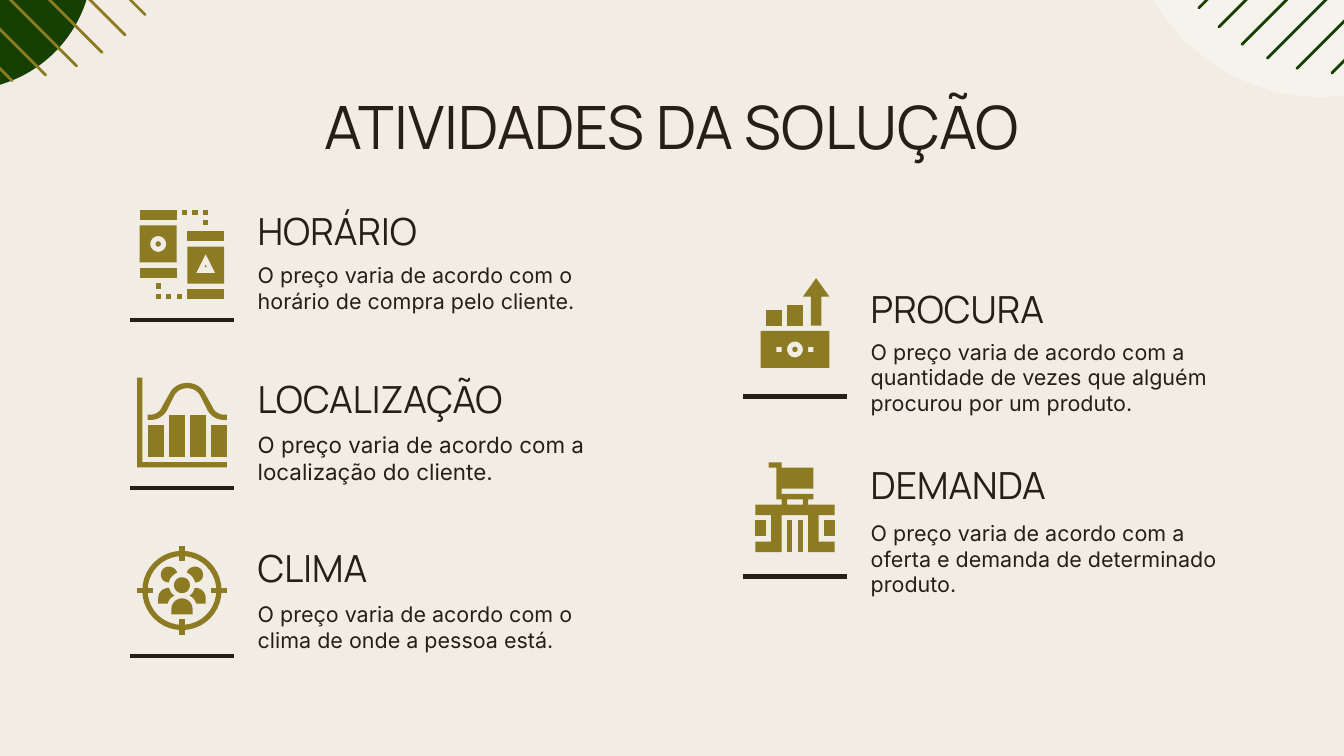
from math import cos, pi, sin

from lxml import etree
from pptx import Presentation
from pptx.dml.color import RGBColor
from pptx.enum.shapes import MSO_CONNECTOR, MSO_SHAPE
from pptx.enum.text import MSO_ANCHOR, PP_ALIGN
from pptx.oxml.ns import qn
from pptx.util import Pt

STRAIGHT = MSO_CONNECTOR.STRAIGHT
OVAL, RING = MSO_SHAPE.OVAL, MSO_SHAPE.DONUT
TOP, BOTTOM = MSO_ANCHOR.TOP, MSO_ANCHOR.BOTTOM
LEFT, CENTER = PP_ALIGN.LEFT, PP_ALIGN.CENTER

CREAM = RGBColor(0xF2, 0xED, 0xE4)
WHITE = RGBColor(0xFF, 0xFF, 0xFF)
GREEN = RGBColor(0x15, 0x40, 0x01)
GOLD = RGBColor(0x8C, 0x7B, 0x23)
INK = RGBColor(0x26, 0x1E, 0x17)

TITLE = {"name": "Manrope", "size": Pt(32)}
HEADING = {"name": "Manrope", "size": Pt(20)}
BODY = {"name": "Inter", "size": Pt(11.5)}
BODY_LARGE = {"name": "Inter", "size": Pt(12)}

UNIT = 2.83  # icon grid step in points; icons are 17 steps high
RULE_WIDTH = 55.4


# ---- basic parts ----
def add_text(s, box, text, fmt, align=LEFT, anchor=TOP):
    tf = s.shapes.add_textbox(*map(Pt, box)).text_frame
    for side in ("left", "right", "top", "bottom"):
        setattr(tf, f"margin_{side}", Pt(7.2))
    tf.word_wrap, tf.vertical_anchor = True, anchor
    p = tf.paragraphs[0]
    p.alignment = align
    r = p.add_run()
    r.text = text
    for name, value in fmt.items():
        setattr(r.font, name, value)
    r.font.color.rgb = INK


def add_line(shapes, x1, y1, x2, y2, color, width, cap="flat"):
    line = shapes.add_connector(STRAIGHT, Pt(x1), Pt(y1), Pt(x2), Pt(y2))
    line.line.color.rgb, line.line.width = color, Pt(width)
    pr = line._element.spPr
    pr.find(qn("a:ln")).set("cap", cap)
    etree.SubElement(pr, qn("a:effectLst"))


def paint(sp, color):
    sp.shadow.inherit = False
    sp.fill.solid()
    sp.fill.fore_color.rgb = color
    sp.line.fill.background()
    return sp


def add_oval(shapes, x, y, w, h, color, kind=OVAL):
    return paint(shapes.add_shape(kind, Pt(x), Pt(y), Pt(w), Pt(h)), color)


# ---- outlines in icon grid steps ----
def rect(x, y, w, h):
    return [(x, y), (x + w, y), (x + w, y + h), (x, y + h)]


def circle(x, y, d):
    turns = [2 * pi * i / 40 for i in range(40)]
    return [(x + d / 2 * (1 + cos(t)), y + d / 2 * (1 + sin(t))) for t in turns]


def curve(*steps):
    """Pairs are corners; six numbers are a cubic curve from the last point."""
    points = []
    for step in steps:
        if len(step) == 2:
            points.append(step)
            continue
        ends = [points[-1], step[:2], step[2:4], step[4:]]
        for t in (i / 10 for i in range(1, 11)):
            weights = ((1 - t) ** 3, 3 * t * (1 - t) ** 2, 3 * t * t * (1 - t), t ** 3)
            points.append(tuple(sum(w * e[k] for w, e in zip(weights, ends)) for k in (0, 1)))
    return points


def mirror(points, axis):
    return [(2 * axis - x, y) for x, y in points]


# ---- icons: each gives a width and shapes, a shape being contours with holes ----
def cards_icon():
    dots = [(8, 0), (10, 0), (12, 0), (12, 2), (3, 14), (3, 16), (5, 16), (7, 16)]
    bands = [(0, 0), (0, 11), (9, 4), (9, 15)]
    return 16, ([[rect(x, y, 1, 1)] for x, y in dots]
                + [[rect(x, y, 7, 2)] for x, y in bands]
                + [[rect(0, 3, 7, 7), circle(2, 5, 3)], [circle(3, 6, 1)],
                   [rect(9, 7, 7, 7), [(12.5, 8.4), (14.3, 12), (10.7, 12)]],
                   [[(12.5, 10.4), (12.7, 10.9), (12.3, 10.9)]]])


def chart_icon():
    axes = [(0, 0), (0, 17), (17, 17), (17, 16), (1, 16), (1, 0)]
    bars = [[rect(2 + 4 * i, 15 - h, 3, h)] for i, h in enumerate((6, 8, 8, 6))]
    upper = curve((2, 7), (2.5, 7), (3.6, 7, 4.4, 6.4, 4.8, 5.4), (6.1, 3.1),
                  (6.7, 1.8, 8, 1, 9.5, 1))
    lower = curve((2, 8), (2.6, 8), (4, 8, 5.2, 7.2, 5.8, 5.9), (7, 3.5),
                  (7.4, 2.6, 8.4, 2, 9.5, 2))
    bell = upper + mirror(upper, 9.5)[::-1] + mirror(lower, 9.5) + lower[::-1]
    return 17, [[axes], [bell]] + bars


def people_icon():
    ticks = [rect(8, 0, 1, 3), rect(8, 14, 1, 3), rect(0, 8, 3, 1), rect(14, 8, 3, 1)]
    body = curve((6.5, 13), (6.5, 12), (6.5, 10.9, 7.4, 10, 8.5, 10),
                 (9.6, 10, 10.5, 10.9, 10.5, 12), (10.5, 13))
    side_body = curve((10.9, 8), (10.8, 8.6, 10.5, 9.1, 9.9, 9.5),
                      (10.6, 9.8, 11, 10.3, 11.2, 11), (13, 11), (13, 10),
                      (13, 8.8, 12.1, 8, 10.9, 8))
    side_head = curve((11, 4), (10.2, 4, 9.6, 4.5, 9.4, 5.1), (10.2, 5.5, 10.8, 6.1, 11, 7),
                      (11.9, 7, 12.5, 6.3, 12.5, 5.5), (12.5, 4.6, 11.8, 4, 11, 4))
    sides = [side_body, side_head, mirror(side_body, 8.5), mirror(side_head, 8.5)]
    return 17, ([[circle(1, 1, 15), circle(2, 2, 13)], [circle(7, 6, 3)]]
                + [[part] for part in ticks + sides + [body]])


def money_icon():
    arrow = [(10.5, 0), (8, 3.5), (9.5, 3.5), (9.5, 9), (11.5, 9), (11.5, 3.5), (13, 3.5)]
    note = [rect(0, 10, 13, 7), rect(3, 13, 1, 1), rect(9, 13, 1, 1), circle(5, 12, 3)]
    return 13, [[rect(1, 6, 3, 3)], [rect(5, 5, 3, 4)], [arrow], note, [circle(6, 13, 1)]]


def store_icon():
    cart = [(2.5, 0), (2.5, 1), (4, 1), (4, 7), (5, 7), (5, 8), (0, 8), (0, 10), (3, 10),
            (3, 15), (0, 15), (0, 17), (5, 17), (5, 10), (10, 10), (10, 17), (15, 17),
            (15, 15), (12, 15), (12, 10), (15, 10), (15, 8), (10, 8), (10, 7), (11, 7),
            (11, 6), (5, 6), (5, 5), (11, 5), (11, 1), (5, 1), (5, 0)]
    panels = [(0, 2, 3), (13, 2, 3), (6, 1, 6), (8, 1, 6)]
    return 15, [[cart, rect(6, 7, 3, 1)]] + [[rect(x, 11, w, h)] for x, w, h in panels]


def draw_icon(s, center, top, icon):
    width, parts = icon
    left = center - width * UNIT / 2
    group = s.shapes.add_group_shape()
    for contours in parts:
        placed = [[(Pt(left + x * UNIT), Pt(top + y * UNIT)) for x, y in c] for c in contours]
        builder = group.shapes.build_freeform(*placed[0][0], scale=1.0)
        builder.add_line_segments(placed[0][1:], close=True)
        for hole in placed[1:]:
            builder.move_to(*hole[0])
            builder.add_line_segments(hole[1:], close=True)
        paint(builder.convert_to_shape(), GOLD)


# ---- regions ----
def draw_corner(s, box, color, lines, line_color, alpha=None):
    shapes = s.shapes.add_group_shape().shapes
    disc = add_oval(shapes, *box, color)
    if alpha:
        rgb = disc._element.spPr.find(qn("a:solidFill"))[0]
        etree.SubElement(rgb, qn("a:alpha"), val=str(alpha * 1000))
    for line in lines:
        add_line(shapes, *line, line_color, 1.5, "rnd")


def draw_activity(s, left, top, heading, text, icon, icon_dy, body_dy, rule_dy,
                  body_width=199.4, fmt=BODY):
    text_left = left + 61.2
    add_text(s, (text_left, top, 199.4, 43.9), heading, HEADING, anchor=BOTTOM)
    add_text(s, (text_left, top + body_dy, body_width, 48.2), text, fmt)
    add_line(s.shapes, left, top + rule_dy, left + RULE_WIDTH, top + rule_dy, INK, 2.25)
    draw_icon(s, left + RULE_WIDTH / 2, top + icon_dy, icon)


def main():
    prs = Presentation()
    prs.slide_width, prs.slide_height = Pt(720), Pt(405)
    s = prs.slides.add_slide(prs.slide_layouts[6])
    s.background.fill.solid()
    s.background.fill.fore_color.rgb = CREAM

    # Corner discs with 45-degree strokes: visible end x, y and run length
    right = [(713.5, 39.2, 107), (694.8, 36.7, 123), (679, 31.2, 133.5),
             (665.3, 23.8, 140), (653, 14.4, 145.5), (642.2, 4.3, 138.5)]
    left = [(77.8, 7.9, 147), (67, 18.7, 144), (54.7, 28.1, 141),
            (41, 35.3, 134), (24.5, 40.3, 123), (6.5, 43.2, 107)]
    draw_corner(s, (604.8, -152.6, 205.9, 204.5), WHITE,
                [(x + d, y - d, x, y) for x, y, d in right], GREEN, alpha=36)
    draw_corner(s, (-88.6, -90, 138.2, 138.2), GREEN,
                [(x - d, y - d, x, y) for x, y, d in left], GOLD)

    add_text(s, (56.2, 41, 607.7, 55.4), "ATIVIDADES DA SOLUÇÃO", TITLE, CENTER)

    # Left column, then right column
    draw_activity(s, 69.8, 98.6, "HORÁRIO",
                  "O preço varia de acordo com o horário de compra pelo cliente.",
                  cards_icon(), 13.7, 34.6, 72.8)
    draw_activity(s, 69.8, 188.6, "LOCALIZAÇÃO",
                  "O preço varia de acordo com a localização do cliente.",
                  chart_icon(), 13.7, 35.3, 72.8, 211.7, BODY_LARGE)
    draw_activity(s, 69.8, 279.4, "CLIMA",
                  "O preço varia de acordo com o clima de onde a pessoa está.",
                  people_icon(), 12.9, 35.3, 72)
    draw_activity(s, 398.2, 140.4, "PROCURA",
                  "O preço varia de acordo com a quantidade de vezes que alguém "
                  "procurou por um produto.", money_icon(), 8.6, 33.8, 72)
    draw_activity(s, 398.2, 234.7, "DEMANDA",
                  "O preço varia de acordo com a oferta e demanda de determinado produto.",
                  store_icon(), 13, 36.7, 74.2, 204.5)
    prs.save("out.pptx")


if __name__ == "__main__":
    main()
